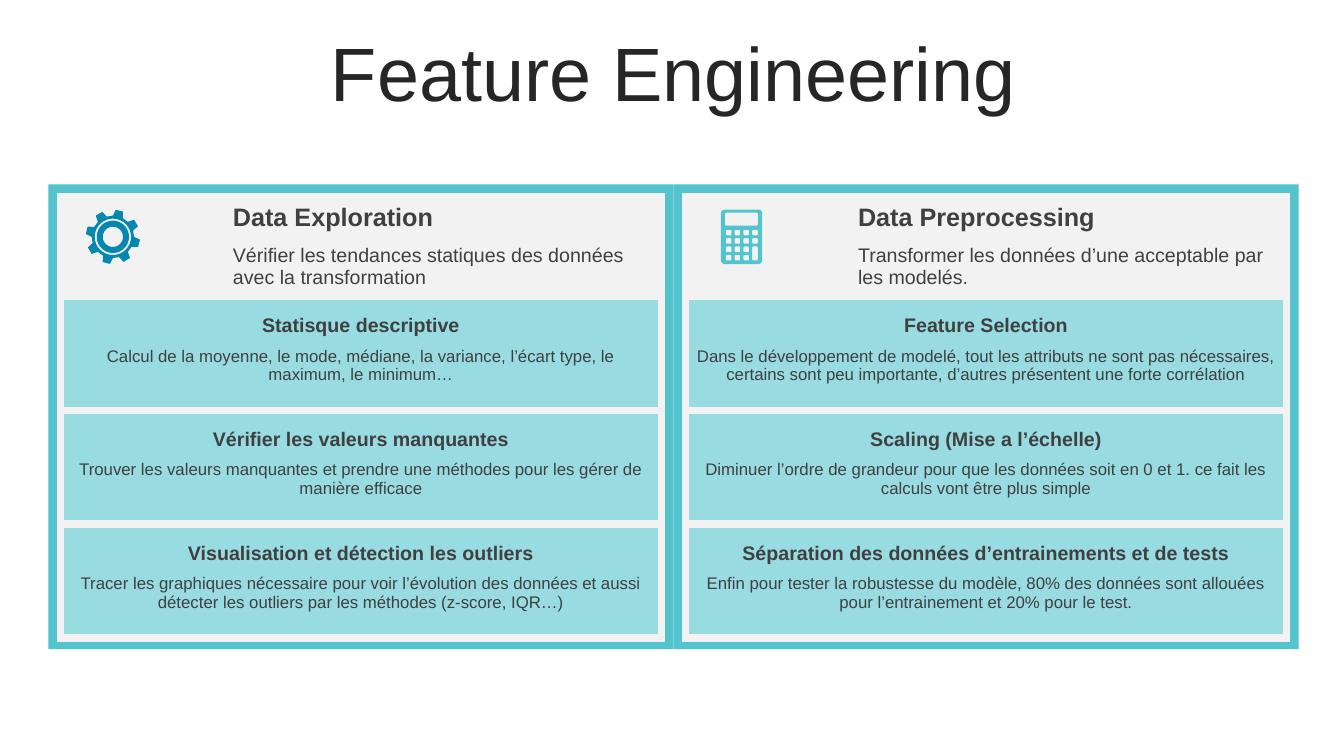
from math import cos, radians, sin

from lxml.etree import SubElement
from pptx import Presentation
from pptx.dml.color import RGBColor
from pptx.enum.shapes import MSO_SHAPE
from pptx.enum.text import MSO_ANCHOR as ANCHOR, PP_ALIGN as ALIGN
from pptx.oxml.ns import qn
from pptx.util import Inches, Pt

FONT = "Arial"
TEAL, PALE_TEAL, BLUE = "53C3CD", "98DBE1", "0587AF"
GREY, TEXT, TITLE_TEXT = "F2F2F2", "404040", "262626"

PANEL_LEFT, PANEL_TOP = 0.48, 1.83
PANEL_W, PANEL_H = 6.2, 4.61
FRAME = 0.12
ICON_COL, TEXT_COL = 1.61, 4.35
HEADER_ROWS, TOPIC_ROWS = [0.4, 0.59], [0.45, 0.68]

PANELS = [
    ("Data Exploration",
     "Vérifier les tendances statiques des données avec la transformation",
     [("Statisque descriptive",
       "Calcul de la moyenne, le mode, médiane, la variance, l’écart type, "
       "le maximum, le minimum…"),
      ("Vérifier les valeurs manquantes",
       "Trouver les valeurs manquantes et prendre une méthodes pour les "
       "gérer de manière efficace"),
      ("Visualisation et détection les outliers",
       "Tracer les graphiques nécessaire pour voir l’évolution des données et "
       "aussi détecter les outliers par les méthodes (z-score, IQR…)")]),
    ("Data Preprocessing",
     "Transformer les données d’une acceptable par les modelés.",
     [("Feature Selection",
       "Dans le développement de modelé, tout les attributs ne sont pas "
       "nécessaires, certains sont peu importante, d’autres présentent une "
       "forte corrélation"),
      ("Scaling (Mise a l’échelle)",
       "Diminuer l’ordre de grandeur pour que les données soit en 0 et 1. "
       "ce fait les calculs vont être plus simple"),
      ("Séparation des données d’entrainements et de tests",
       "Enfin pour tester la robustesse du modèle, 80% des données sont "
       "allouées pour l’entrainement et 20% pour le test.")]),
]


def paint(fill, color):
    fill.solid()
    fill.fore_color.rgb = RGBColor.from_string(color)


def finish(sp, color):
    paint(sp.fill, color)
    sp.line.fill.background()
    sp.shadow.inherit = False


def write(tf, text, size, color, bold=False, align=ALIGN.LEFT):
    p = tf.paragraphs[0]
    p.text = text
    p.alignment = align
    p.font.name = FONT
    p.font.size = Pt(size)
    p.font.bold = bold
    p.font.color.rgb = RGBColor.from_string(color)
    return p


def add_title(s, text):
    sp = s.shapes.title
    sp.left, sp.top = Inches(0.35), Inches(0.37)
    sp.width, sp.height = Inches(12.66), Inches(0.79)
    sp.text_frame.vertical_anchor = ANCHOR.MIDDLE
    p = write(sp.text_frame, text, 54, TITLE_TEXT, align=ALIGN.CENTER)
    p.line_spacing = 0.9


def format_cell(cell, color, sides):
    tc_pr = cell._tc.get_or_add_tcPr()
    for side in "LRTB":
        ln = SubElement(tc_pr, qn(f"a:ln{side}"), w=str(Pt(6)))
        if side in sides:
            solid = SubElement(ln, qn("a:solidFill"))
            SubElement(solid, qn("a:srgbClr"), val=GREY)
        else:
            SubElement(ln, qn("a:noFill"))
    paint(cell.fill, color)


def fill_cell(cell, text, size, anchor, bold=False, align=ALIGN.LEFT):
    cell.vertical_anchor = anchor
    write(cell.text_frame, text, size, TEXT, bold, align)


def add_panel(s, left, heading, summary, topics):
    sp = s.shapes.add_shape(MSO_SHAPE.RECTANGLE, Inches(left), Inches(PANEL_TOP),
                            Inches(PANEL_W), Inches(PANEL_H))
    finish(sp, TEAL)

    heights = HEADER_ROWS + TOPIC_ROWS * len(topics)
    table = s.shapes.add_table(
        len(heights), 2, Inches(left + FRAME), Inches(PANEL_TOP + FRAME),
        Inches(ICON_COL + TEXT_COL), Inches(sum(heights))).table
    table.first_row = table.horz_banding = False
    for column, width in zip(table.columns, (ICON_COL, TEXT_COL)):
        column.width = Inches(width)
    for row, height in zip(table.rows, heights):
        row.height = Inches(height)

    for r in range(len(HEADER_ROWS)):
        format_cell(table.cell(r, 0), GREY, "LTB")
        format_cell(table.cell(r, 1), GREY, "TRB")
    table.cell(0, 0).merge(table.cell(1, 0))
    fill_cell(table.cell(0, 1), heading, 18, ANCHOR.BOTTOM, bold=True)
    fill_cell(table.cell(1, 1), summary, 14, ANCHOR.MIDDLE)

    for i, (name, detail) in enumerate(topics):
        top = len(HEADER_ROWS) + i * len(TOPIC_ROWS)
        for r, sides in ((top, "LTR"), (top + 1, "LRB")):
            for cell in table.rows[r].cells:
                format_cell(cell, PALE_TEAL, sides)
            table.cell(r, 0).merge(table.cell(r, 1))
        fill_cell(table.cell(top, 0), name, 14, ANCHOR.BOTTOM, True, ALIGN.CENTER)
        fill_cell(table.cell(top + 1, 0), detail, 12, ANCHOR.TOP, align=ALIGN.CENTER)


def polar(cx, cy, radius, degrees):
    return cx + radius * cos(radians(degrees)), cy + radius * sin(radians(degrees))


def circle(cx, cy, radius):
    return [polar(cx, cy, radius, a) for a in range(0, 360, 6)]


def rounded(x, y, w, h, radius):
    corners = [(x + w - radius, y + h - radius), (x + radius, y + h - radius),
               (x + radius, y + radius), (x + w - radius, y + radius)]
    return [polar(cx, cy, radius, 90 * i + a)
            for i, (cx, cy) in enumerate(corners) for a in range(0, 91, 15)]


def add_outline(s, contours, color):
    contours = [[(Inches(x), Inches(y)) for x, y in c] for c in contours]
    builder = s.shapes.build_freeform(*contours[0][0])
    builder.add_line_segments(contours[0][1:])
    for contour in contours[1:]:
        builder.move_to(*contour[0])
        builder.add_line_segments(contour[1:])
    finish(builder.convert_to_shape(), color)


def add_gear(s, cx, cy):
    tooth = [(0.21, -14), (0.27, -8), (0.27, 8), (0.21, 14)]
    teeth = [polar(cx, cy, radius, turn + a)
             for turn in range(-76, 284, 45) for radius, a in tooth]
    rings = [circle(cx, cy, radius) for radius in (0.18, 0.16, 0.1)]
    add_outline(s, [teeth] + rings, BLUE)


def add_calculator(s, x, y):
    key, pitch = 0.055, 0.083
    contours = [rounded(x, y, 0.41, 0.54, 0.04),
                rounded(x + 0.04, y + 0.03, 0.33, 0.13, 0.02)]
    for row in range(4):
        for col in range(4):
            if (row, col) == (3, 3):
                continue
            height = key + pitch if (row, col) == (2, 3) else key
            contours.append(rounded(x + 0.05 + col * 0.087, y + 0.2 + row * pitch,
                                    key, height, 0.01))
    add_outline(s, contours, TEAL)


def main():
    prs = Presentation()
    prs.slide_width, prs.slide_height = Inches(13.33), Inches(7.5)
    s = prs.slides.add_slide(prs.slide_layouts[5])
    add_title(s, "Feature Engineering")
    for i, panel in enumerate(PANELS):
        add_panel(s, PANEL_LEFT + i * PANEL_W, *panel)
    add_gear(s, 1.12, 2.35)
    add_calculator(s, 7.15, 2.08)
    prs.save("out.pptx")


if __name__ == "__main__":
    main()
